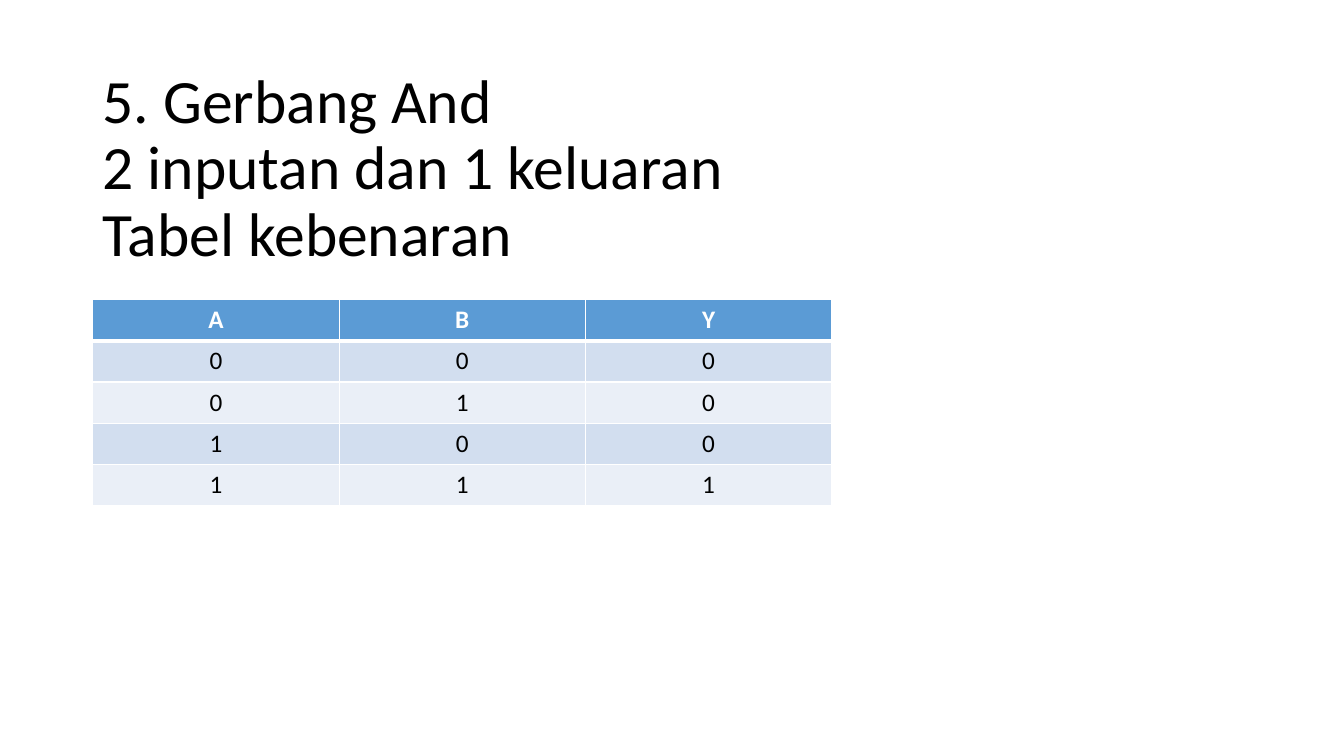
from itertools import product

from lxml.etree import SubElement
from pptx import Presentation
from pptx.dml.color import RGBColor
from pptx.enum.text import MSO_ANCHOR as Anchor, PP_ALIGN as Align
from pptx.oxml.ns import qn
from pptx.util import Inches, Pt

BLACK = RGBColor(0x00, 0x00, 0x00)
WHITE = RGBColor(0xFF, 0xFF, 0xFF)
HEADER_BLUE = RGBColor(0x5B, 0x9B, 0xD5)
BAND_DARK = RGBColor(0xD2, 0xDE, 0xEF)
BAND_LIGHT = RGBColor(0xEA, 0xEF, 0xF7)

TITLE_LINES = [
    "5. Gerbang And",
    "2 inputan dan 1 keluaran",
    "Tabel kebenaran",
]
INPUTS = list(product((0, 1), repeat=2))
TRUTH_TABLE = [("A", "B", "Y")] + [(a, b, a & b) for a, b in INPUTS]


def format_font(span, color, **values):
    for name, value in {"name": "Calibri", **values}.items():
        setattr(span.font, name, value)
    span.font.color.rgb = color


def add_title(page, left, top, width, height):
    box = page.shapes.add_textbox(left, top, width, height)
    frame = box.text_frame
    frame.word_wrap = True
    frame.vertical_anchor = Anchor.MIDDLE
    para = frame.paragraphs[0]
    para.line_spacing = 0.9
    para.text = "\v".join(TITLE_LINES)
    for span in para.runs:
        format_font(span, BLACK, size=Pt(44))


def add_borders(cell, widths):
    """Draw white cell borders; widths maps each side to points."""
    properties = cell._tc.get_or_add_tcPr()
    for side, width in widths.items():
        line = SubElement(properties, qn(f"a:ln{side}"), w=str(Pt(width)))
        fill = SubElement(line, qn("a:solidFill"))
        SubElement(fill, qn("a:srgbClr"), val=str(WHITE))


def add_truth_table(page, left, top, width, height):
    row_count, column_count = len(TRUTH_TABLE), len(TRUTH_TABLE[0])
    table = page.shapes.add_table(
        row_count, column_count, left, top, width, height
    ).table
    for row, values in enumerate(TRUTH_TABLE):
        header = row == 0
        band = BAND_DARK if row % 2 else BAND_LIGHT
        # A thick rule separates the header from the values
        widths = {"L": 1, "R": 1, "T": 3 if row == 1 else 1, "B": 3 if header else 1}
        for column, value in enumerate(values):
            cell = table.cell(row, column)
            add_borders(cell, widths)
            cell.fill.solid()
            cell.fill.fore_color.rgb = HEADER_BLUE if header else band
            para = cell.text_frame.paragraphs[0]
            para.alignment = Align.CENTER
            span = para.add_run()
            span.text = str(value)
            format_font(span, WHITE if header else BLACK, size=Pt(18), bold=header)


def main():
    deck = Presentation()
    deck.slide_width, deck.slide_height = Inches(13.33), Inches(7.5)
    page = deck.slides.add_slide(deck.slide_layouts[6])

    # Title above, table directly below it
    left, title_top, title_height = Inches(0.92), Inches(0.4), Inches(2.57)
    add_title(page, left, title_top, Inches(11.5), title_height)
    add_truth_table(page, left, title_top + title_height, Inches(7.33), Inches(2.05))

    deck.save("out.pptx")


if __name__ == "__main__":
    main()
